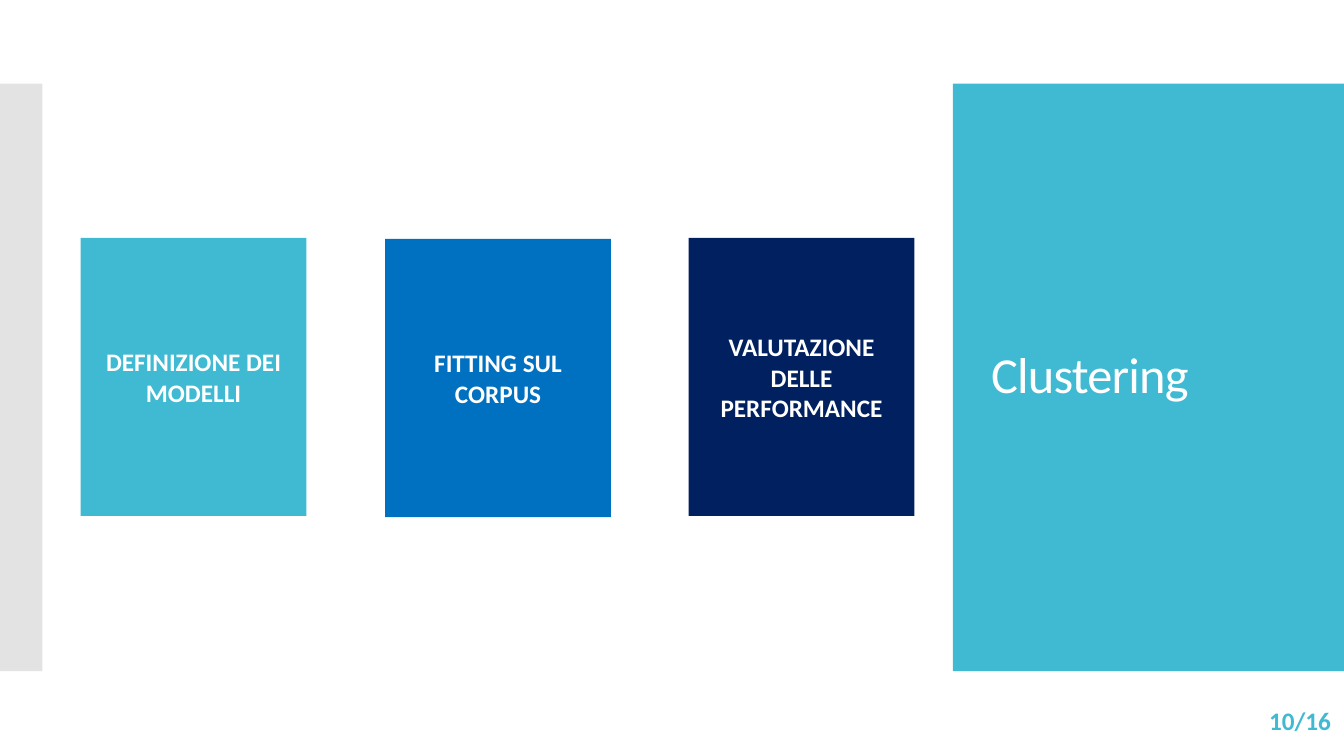
from dataclasses import dataclass

from lxml import etree
from pptx import Presentation
from pptx import util as u
from pptx.dml.color import RGBColor
from pptx.enum import shapes, text
from pptx.oxml import ns

PX = u.Inches(1) // 100  # 100 px to the inch
FONT = "Calibri"
COLORS = {
    "white": "FFFFFF",
    "grey": "C8C8C8",
    "cyan": "40BAD2",
    "blue": "0070C0",
    "navy": "002060",
}


@dataclass(frozen=True)
class Box:
    left: int
    top: int
    width: int
    height: int

    def emu(self) -> tuple[int, int, int, int]:
        return self.left * PX, self.top * PX, self.width * PX, self.height * PX


@dataclass(frozen=True)
class Step:
    label: str
    color: str
    left: int
    top: int


STEPS = [
    Step("DEFINIZIONE DEI MODELLI", "cyan", 80, 236),
    Step("FITTING SUL CORPUS", "blue", 382, 237),
    Step("VALUTAZIONE DELLE PERFORMANCE", "navy", 683, 236),
]
STEP_WIDTH, STEP_HEIGHT = 224, 276


def rgb(name: str) -> RGBColor:
    return RGBColor.from_string(COLORS[name])


def add_rectangle(slide, box: Box, color: str):
    shape = slide.shapes.add_shape(shapes.MSO_SHAPE.RECTANGLE, *box.emu())
    shape.shadow.inherit = False
    shape.fill.solid()
    shape.fill.fore_color.rgb = rgb(color)
    shape.line.fill.background()
    return shape


def write(shape, content: str, size: int, color: str, align, bold: bool = False):
    frame = shape.text_frame
    frame.word_wrap = True
    frame.auto_size = text.MSO_AUTO_SIZE.NONE
    frame.vertical_anchor = text.MSO_ANCHOR.MIDDLE
    paragraph = frame.paragraphs[0]
    paragraph.alignment = align
    run = paragraph.add_run()
    run.text = content
    run.font.name = FONT
    run.font.size = u.Pt(size)
    run.font.bold = bold
    run.font.color.rgb = rgb(color)
    return paragraph


def set_opacity(shape, percent: int) -> None:
    color = shape.element.spPr.find(".//" + ns.qn("a:srgbClr"))
    etree.SubElement(color, ns.qn("a:alpha")).set("val", str(percent * 1000))


def add_title(slide, panel) -> None:
    title = slide.shapes.title
    title.left, title.top, title.width, title.height = Box(973, 123, 322, 503).emu()
    paragraph = write(title, "Clustering", 36, "white", text.PP_ALIGN.LEFT)
    paragraph.line_spacing = 0.9
    paragraph.runs[0].font._element.set("spc", "-60")
    panel.element.addnext(title.element)  # title in front of its panel


def main() -> None:
    presentation = Presentation()
    presentation.slide_width = u.Inches(13.33)
    presentation.slide_height = u.Inches(7.5)
    slide = presentation.slides.add_slide(presentation.slide_layouts[5])

    # Title panel and side band
    panel = add_rectangle(slide, Box(945, 83, 388, 583), "cyan")
    add_title(slide, panel)
    band = add_rectangle(slide, Box(0, 83, 42, 583), "grey")
    set_opacity(band, 50)

    # Steps
    for step in STEPS:
        box = Box(step.left, step.top, STEP_WIDTH, STEP_HEIGHT)
        card = add_rectangle(slide, box, step.color)
        write(card, step.label, 18, "white", text.PP_ALIGN.CENTER, bold=True)

    # Page number
    page = slide.shapes.add_textbox(*Box(1163, 695, 167, 40).emu())
    write(page, "10/16", 18, "cyan", text.PP_ALIGN.RIGHT, bold=True)

    presentation.save("out.pptx")


if __name__ == "__main__":
    main()
